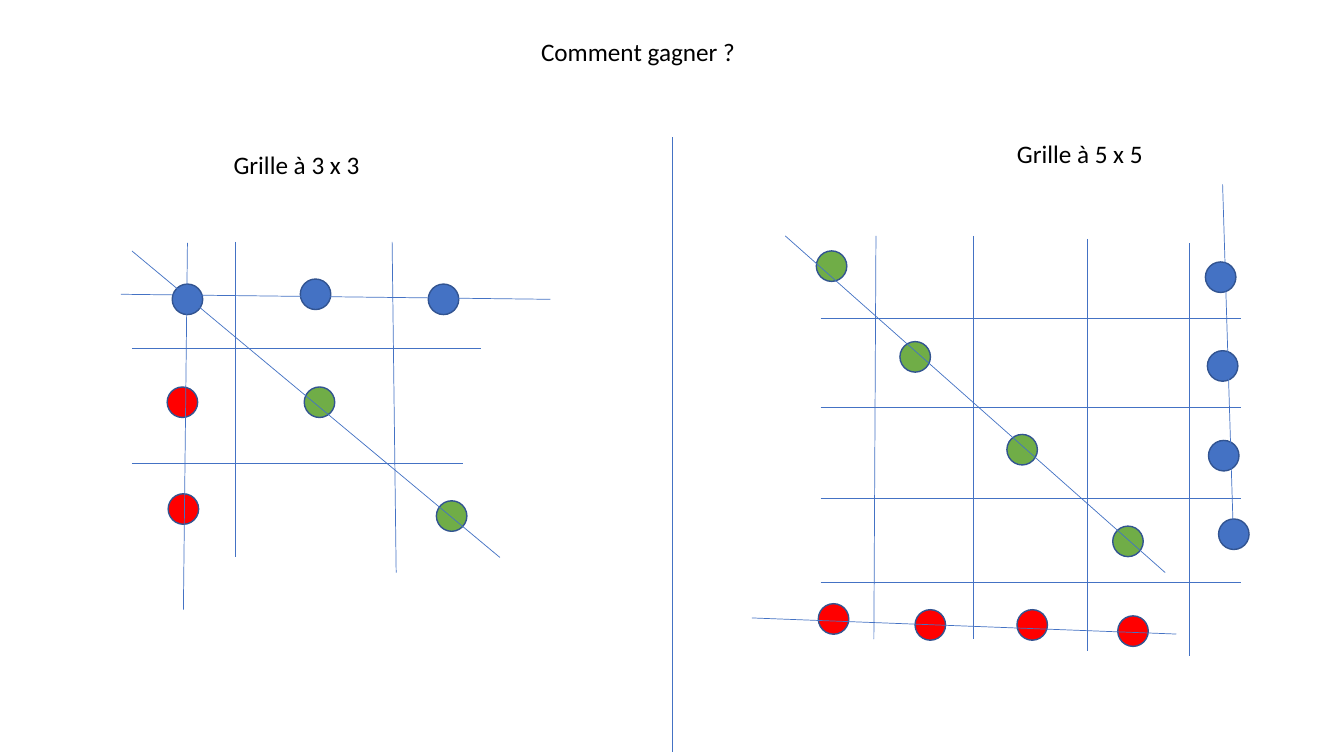
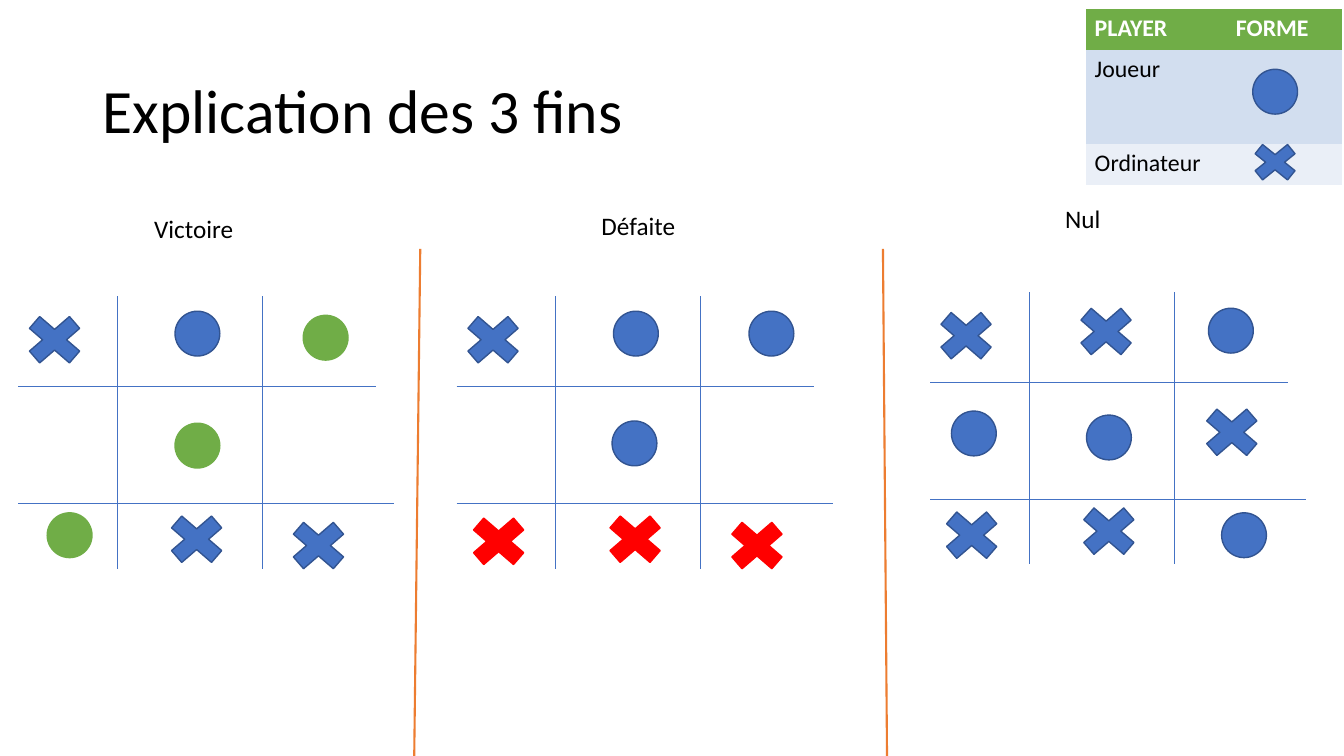
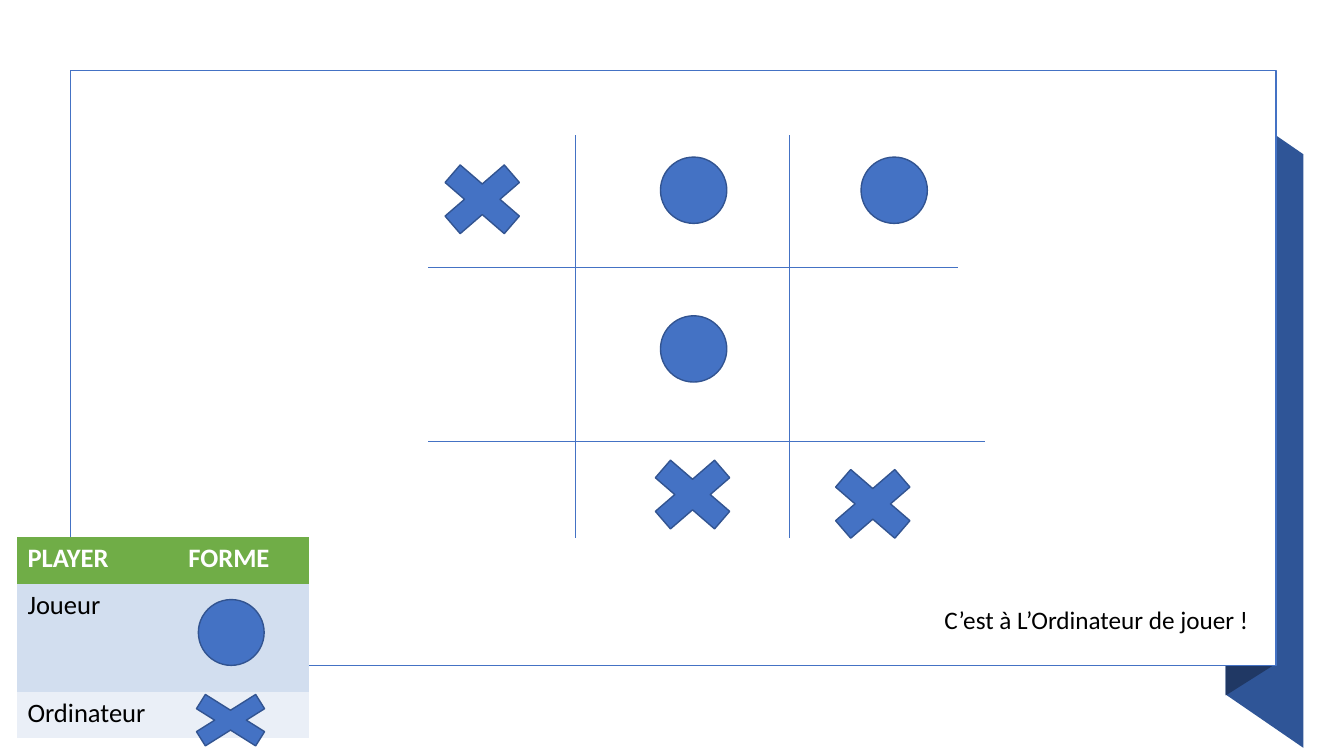
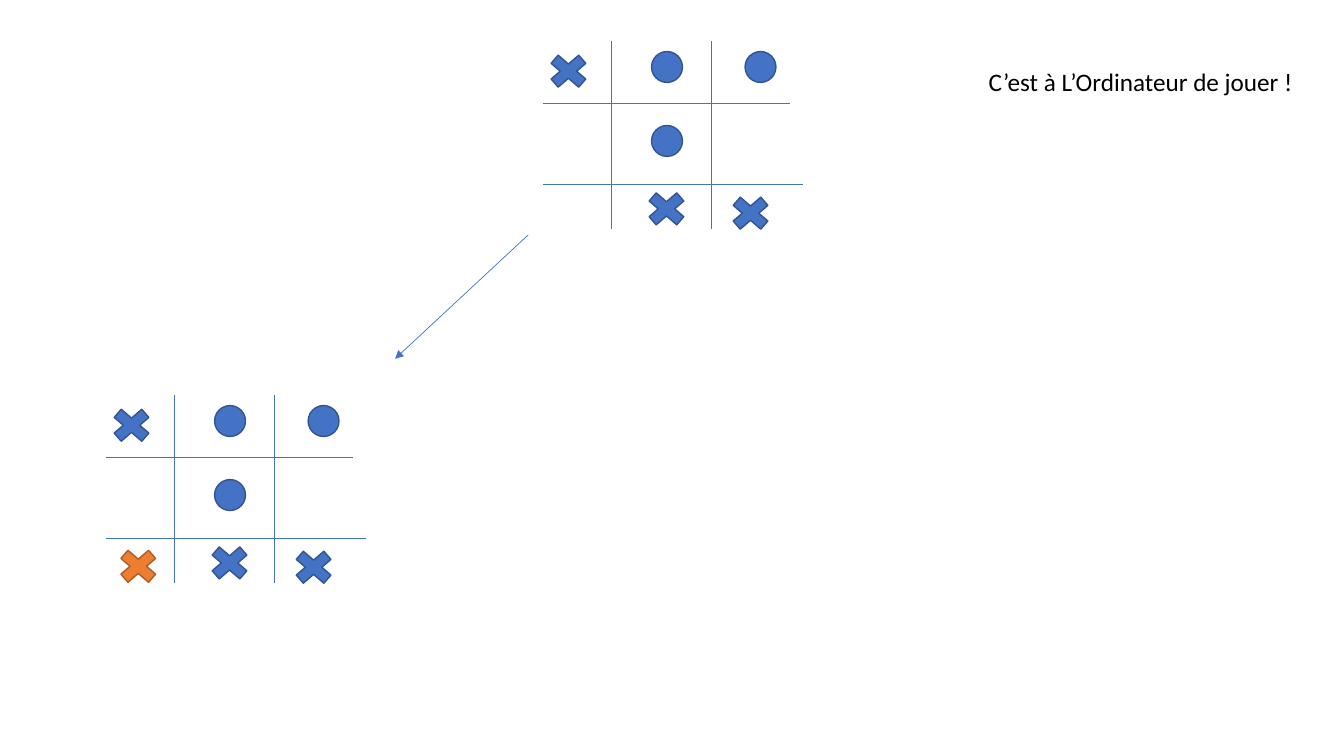
from lxml import etree
from pptx import Presentation
from pptx.dml.color import RGBColor
from pptx.enum.shapes import MSO_CONNECTOR, MSO_SHAPE
from pptx.enum.text import MSO_ANCHOR
from pptx.oxml.ns import qn
from pptx.util import Pt

O, X = MSO_SHAPE.OVAL, MSO_SHAPE.MATH_MULTIPLY
RECT = MSO_SHAPE.RECTANGLE
STRAIGHT = MSO_CONNECTOR.STRAIGHT
TOP, MIDDLE = MSO_ANCHOR.TOP, MSO_ANCHOR.MIDDLE

BLACK = RGBColor(0, 0, 0)
WHITE = RGBColor(255, 255, 255)
BLUE = RGBColor(0x44, 0x72, 0xC4)
EDGE = RGBColor(0x32, 0x54, 0x91)
GREEN = RGBColor(0x70, 0xAD, 0x47)
RED = RGBColor(255, 0, 0)
ORANGE = RGBColor(0xED, 0x7D, 0x31)
BROWN = RGBColor(0xAF, 0x5C, 0x24)
RIBBON = RGBColor(0x2F, 0x55, 0x97)
FOLD = RGBColor(0x20, 0x38, 0x64)
BAND_DARK = RGBColor(0xD2, 0xDE, 0xEF)
BAND_LIGHT = RGBColor(0xEA, 0xEF, 0xF7)

FONT = "Calibri"
NO_STYLE = "{2D5ABB26-0587-4C30-8999-92F81FD0307C}"
SIZES = {O: (32, 32), X: (55, 47.5)}
EDGES = {BLUE: EDGE, ORANGE: BROWN}
TURN = "C’est à L’Ordinateur de jouer !"

GAME = [
    (X, 26, 31, BLUE), (O, 128, 26.6, BLUE), (O, 224.8, 26.6, BLUE),
    (O, 128, 103.2, BLUE),
    (X, 127.5, 173.5, BLUE), (X, 214.5, 178, BLUE),
]
WIN = [
    (X, 26, 31, BLUE), (O, 128, 26.6, BLUE), (O, 219.6, 29.5, GREEN),
    (O, 128, 106.6, GREEN),
    (O, 36.7, 170.6, GREEN), (X, 127.5, 173.5, BLUE), (X, 214.5, 178, BLUE),
]
LOSS = [
    (X, 26, 31, BLUE), (O, 128, 26.6, BLUE), (O, 224.8, 26.6, BLUE),
    (O, 127, 105, BLUE),
    (X, 30, 175, RED), (X, 127.5, 173.5, RED), (X, 214.5, 178, RED),
]
DRAW = [
    (X, 25.5, 31, BLUE), (X, 125.5, 28, BLUE), (O, 214.6, 27.4, BLUE),
    (O, 31, 100.8, BLUE), (O, 127.5, 103.7, BLUE), (X, 215.3, 100, BLUE),
    (X, 29.5, 173.5, BLUE), (X, 127.5, 170.6, BLUE), (O, 224, 173.5, BLUE),
]

GRID_3 = [(81.4, 0, 81.4, 225.4), (193.7, 0, 196.6, 236.2),
          (7.9, 76.3, 257, 76.3), (7.9, 158.4, 244.1, 158.4)]
DISCS_3 = {
    BLUE: [(139, 37.4), (230.4, 41), (47.5, 41)],
    GREEN: [(141.8, 114.5), (236.2, 195.8)],
    RED: [(43.9, 114.5), (44.6, 190.8)],
}
WINS_3 = [(47.5, 0.7, 44.6, 262.8), (0, 37.4, 306.7, 41),
          (7.9, 6.5, 270.7, 225.4)]

GRID_5 = [(88.6, 36.7, 87.1, 324.7), (158.4, 36.7, 158.4, 324.7),
          (239.8, 38.9, 239.8, 333.4), (312.5, 41.8, 312.5, 337)]
GRID_5 += [(49, y, 349.2, y) for y in (95.8, 159.1, 223.9, 284.4)]
DISCS_5 = {
    GREEN: [(56.9, 58.3), (116.6, 123.1), (193, 189.4), (268.6, 254.9)],
    BLUE: [(334.8, 66.2), (336.2, 129.6), (337, 193.7), (344.2, 249.8)],
    RED: [(58.3, 310.3), (127.4, 314.6), (200.2, 314.6), (272.2, 319)],
}
WINS_5 = [(23.8, 36.7, 295.2, 277.2), (336.2, 0, 344.2, 260.6),
          (0, 309.6, 303.1, 321.1)]


def write(tf, text, size=18, color=BLACK, bold=False, spacing=None):
    p = tf.paragraphs[0]
    p.line_spacing = spacing
    r = p.add_run()
    r.text = text
    r.font.name = FONT
    r.font.size = Pt(size)
    r.font.bold = bold
    r.font.color.rgb = color


def label(s, text, x, y, w, h=29, wrap=False, anchor=TOP, **fmt):
    tf = s.shapes.add_textbox(Pt(x), Pt(y), Pt(w), Pt(h)).text_frame
    tf.word_wrap = wrap
    tf.vertical_anchor = anchor
    write(tf, text, **fmt)


def line(s, x1, y1, x2, y2, color=BLUE, width=0.5, arrow=False):
    c = s.shapes.add_connector(STRAIGHT, Pt(x1), Pt(y1), Pt(x2), Pt(y2))
    c.line.color.rgb = color
    c.line.width = Pt(width)
    if arrow:
        ln = c.line._get_or_add_ln()
        etree.SubElement(ln, qn("a:tailEnd"), type="triangle")
    etree.SubElement(c._element.spPr, qn("a:effectLst"))


def shape(s, kind, x, y, w, h, fill, edge):
    sp = s.shapes.add_shape(kind, Pt(x), Pt(y), Pt(w), Pt(h))
    sp.shadow.inherit = False
    sp.fill.solid()
    sp.fill.fore_color.rgb = fill
    sp.line.color.rgb = edge
    sp.line.width = Pt(1)


def mark(s, kind, cx, cy, w, h, fill=BLUE, edge=EDGE):
    shape(s, kind, cx - w / 2, cy - h / 2, w, h, fill, edge)


def outline(s, points, fill):
    (x, y), *rest = [(Pt(px), Pt(py)) for px, py in points]
    builder = s.shapes.build_freeform(x, y, scale=1.0)
    builder.add_line_segments(rest, close=True)
    sp = builder.convert_to_shape()
    sp.shadow.inherit = False
    sp.fill.solid()
    sp.fill.fore_color.rgb = fill
    sp.line.fill.background()


def board(s, x, y, marks, k=1.0):
    for dx in (70.8, 174.2):
        line(s, x + dx * k, y, x + dx * k, y + 194.4 * k)
    for dy, w in ((64, 255.5), (147.8, 268.6)):
        line(s, x, y + dy * k, x + w * k, y + dy * k)
    for kind, cx, cy, fill in marks:
        w, h = SIZES[kind]
        mark(s, kind, x + cx * k, y + cy * k, w * k, h * k,
             fill, EDGES.get(fill, fill))


def winning_grid(s, x, y, grid, discs, wins):
    def draw(lines):
        for x1, y1, x2, y2 in lines:
            line(s, x + x1, y + y1, x + x2, y + y2)

    draw(grid)
    for fill, centres in discs.items():
        for cx, cy in centres:
            mark(s, O, x + cx, y + cy, 21.8, 21.8, fill)
    draw(wins)


def legend(s, x, y, size, k=1.0):
    cols, rows = (100.8, 82.1), (29.1, 67.6, 29.1)
    t = s.shapes.add_table(3, 2, Pt(x), Pt(y), Pt(sum(cols) * k),
                           Pt(sum(rows) * k)).table
    t._tbl.tblPr.find(qn("a:tableStyleId")).text = NO_STYLE
    for col, w in zip(t.columns, cols):
        col.width = Pt(w * k)
    for row, h in zip(t.rows, rows):
        row.height = Pt(h * k)
    texts = [("PLAYER", "FORME"), ("Joueur", ""), ("Ordinateur", "")]
    fills = (GREEN, BAND_DARK, BAND_LIGHT)
    for i, (row, fill) in enumerate(zip(texts, fills)):
        for j, text in enumerate(row):
            cell = t.cell(i, j)
            cell.margin_left = cell.margin_right = Pt(6.6 * k)
            cell.margin_top = cell.margin_bottom = Pt(3.3 * k)
            cell.fill.solid()
            cell.fill.fore_color.rgb = fill
            if text:
                write(cell.text_frame, text, size=size, bold=i == 0,
                      color=BLACK if i else WHITE)


def how_to_win(s):
    line(s, 480.2, 98, 480.2, 537)
    winning_grid(s, 86.4, 172.8, GRID_3, DISCS_3, WINS_3)
    winning_grid(s, 537.1, 131.8, GRID_5, DISCS_5, WINS_5)
    label(s, "Comment gagner ?", 379.4, 22.3, 154.8)
    label(s, "Grille à 3 x 3", 159.8, 103, 105.8)
    label(s, "Grille à 5 x 5", 719.3, 95, 105.8)


def three_endings(s):
    label(s, "Explication des 3 fins", 66.2, 28.8, 828, 104.4, wrap=True,
          anchor=MIDDLE, size=44, spacing=0.9)
    board(s, 13, 211.7, WIN)
    board(s, 326.2, 211.7, LOSS)
    board(s, 664.6, 208.8, DRAW)
    line(s, 300.2, 177.8, 295.9, 540, color=ORANGE, width=1.5)
    line(s, 630.7, 177.8, 633.6, 540, color=ORANGE, width=1.5)
    label(s, "Victoire", 103, 149, 75.6)
    label(s, "Défaite", 422.6, 146.9, 72)
    label(s, "Nul", 753.8, 141.8, 40.3)
    legend(s, 775.4, 6.5, size=17)
    mark(s, O, 910.8, 65.5, 32, 32)
    mark(s, X, 910.8, 115.9, 44.6, 36)


def current_game(s):
    outline(s, [(931, 534.2), (875.5, 496.1), (875.5, 72), (931, 110.2)],
            RIBBON)
    outline(s, [(908.6, 475.9), (875.5, 496.8), (875.5, 72), (908.6, 50.4)],
            FOLD)
    shape(s, RECT, 50.4, 50.4, 861.1, 424.8, WHITE, BLUE)
    legend(s, 12.2, 383.8, size=19, k=1.14)
    mark(s, O, 165.2, 451.8, 47, 47)
    mark(s, X, 164.7, 514.4, 81.4, 51.1)
    board(s, 306, 96.5, GAME, k=1.48)
    label(s, TURN, 667.4, 428.4, 238.3)


def next_move(s):
    board(s, 388.1, 29.5, GAME, k=0.69)
    board(s, 76, 282.4, GAME + [(X, 33, 177, ORANGE)], k=0.69)
    line(s, 377.3, 167.8, 282.2, 256.3, arrow=True)
    label(s, TURN, 699.1, 43.9, 238.3)


def main():
    prs = Presentation()
    prs.slide_width, prs.slide_height = Pt(960), Pt(540)
    for build in (how_to_win, three_endings, current_game, next_move):
        build(prs.slides.add_slide(prs.slide_layouts[6]))
    prs.save("out.pptx")


if __name__ == "__main__":
    main()
